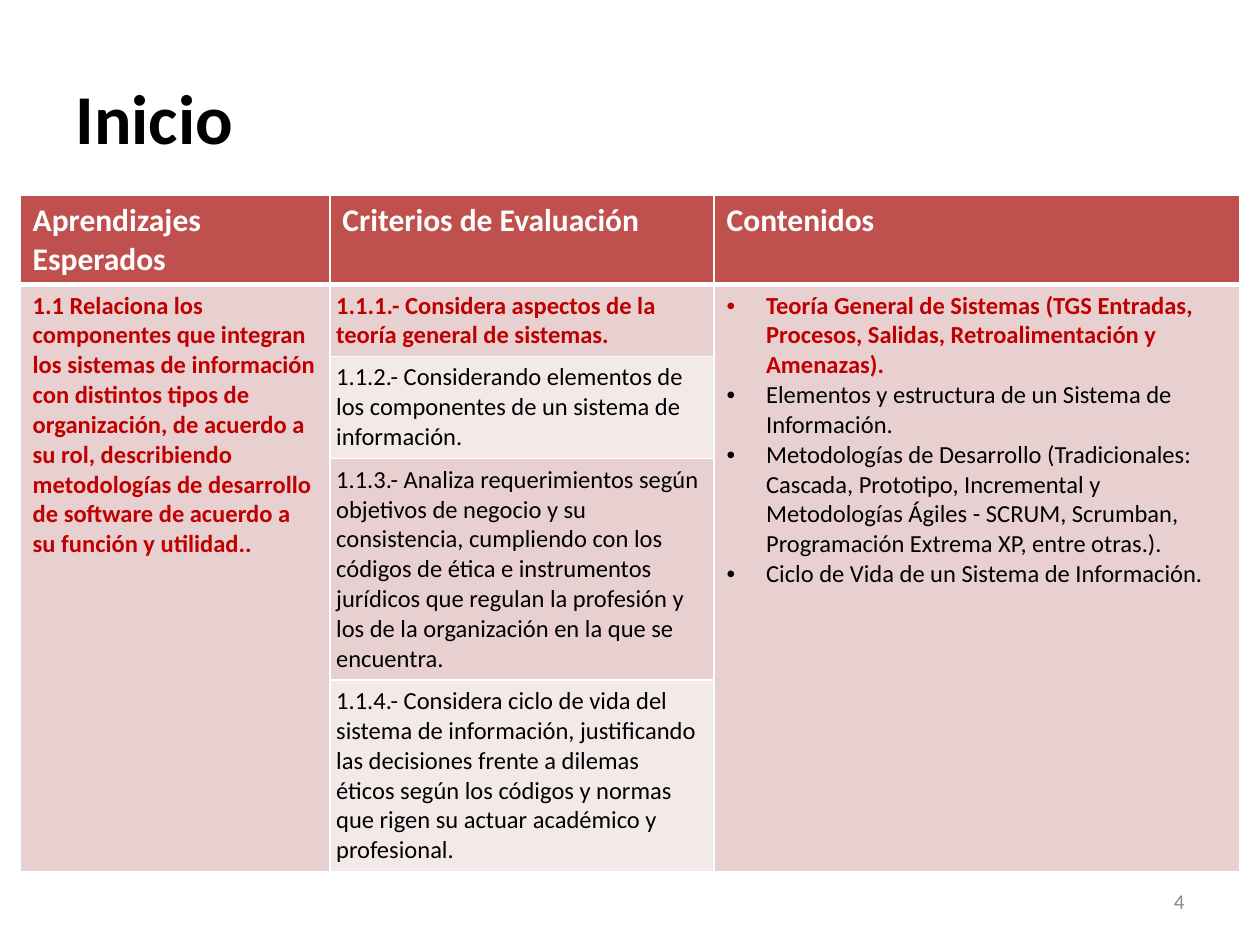
from lxml import etree
from pptx import Presentation
from pptx import util as u
from pptx.dml import color
from pptx.enum import text
from pptx.oxml import ns

Pt = u.Pt
FONT = "Calibri"
WHITE, BLACK, GREY = "FFFFFF", "000000", "8C8C8C"
HEADER_RED, TEXT_RED = "C0504D", "C00000"
BAND_DARK, BAND_LIGHT = "E8D0D0", "F4E9E9"

HEADINGS = ["Aprendizajes Esperados", "Criterios de Evaluación", "Contenidos"]
LEARNING = (
    "1.1 Relaciona los componentes que integran los sistemas de información con "
    "distintos tipos de organización, de acuerdo a su rol, describiendo metodologías "
    "de desarrollo de software de acuerdo a su función y utilidad.."
)
CRITERIA = [
    "1.1.1.- Considera aspectos de la teoría general de sistemas.",
    "1.1.2.- Considerando elementos de los componentes de un sistema de información.",
    "1.1.3.- Analiza requerimientos según objetivos de negocio y su consistencia, "
    "cumpliendo con los códigos de ética e instrumentos jurídicos que regulan la "
    "profesión y los de la organización en la que se encuentra.",
    "1.1.4.- Considera ciclo de vida del sistema de información, justificando las "
    "decisiones frente a dilemas éticos según los códigos y normas que rigen su "
    "actuar académico y profesional.",
]
CONTENTS = [
    "Teoría General de Sistemas (TGS Entradas, Procesos, Salidas, Retroalimentación y "
    "Amenazas).",
    "Elementos y estructura de un Sistema de Información.",
    "Metodologías de Desarrollo (Tradicionales: Cascada, Prototipo, Incremental y "
    "Metodologías Ágiles - SCRUM, Scrumban, Programación Extrema XP, entre otras.).",
    "Ciclo de Vida de un Sistema de Información.",
]
COLUMN_WIDTHS = [177, 219.6, 300.4]
ROW_HEIGHTS = [51, 41, 58.5, 126.5, 109.5]


def rgb(value):
    """Turn a hex string into a colour."""
    return color.RGBColor.from_string(value)


def add_run(paragraph, words, size, hue, bold=False):
    """Add one formatted run to a paragraph."""
    run = paragraph.add_run()
    run.text = words
    run.font.name = FONT
    run.font.size = Pt(size)
    run.font.bold = bold
    run.font.color.rgb = rgb(hue)


def add_bullet(paragraph, indent):
    """Give a paragraph a round bullet with a hanging indent."""
    props = paragraph._p.get_or_add_pPr()
    props.set("marL", str(Pt(indent)))
    props.set("indent", str(-Pt(indent)))
    etree.SubElement(props, ns.qn("a:buFont"), typeface="Arial")
    etree.SubElement(props, ns.qn("a:buChar"), char="•")


def style_cell(cell, fill, bottom=1):
    """Set the white borders and the fill of a cell."""
    props = cell._tc.get_or_add_tcPr()
    for side, width in (("L", 1), ("R", 1), ("T", 1), ("B", bottom)):
        line = etree.SubElement(props, ns.qn(f"a:ln{side}"), w=str(Pt(width)))
        solid = etree.SubElement(line, ns.qn("a:solidFill"))
        etree.SubElement(solid, ns.qn("a:srgbClr"), val=WHITE)
    cell.fill.solid()
    cell.fill.fore_color.rgb = rgb(fill)


def fill_cell(cell, entries, size, bulleted=False):
    """Write (words, colour, bold) entries as the paragraphs of a cell."""
    frame = cell.text_frame
    for index, (words, hue, bold) in enumerate(entries):
        paragraph = frame.add_paragraph() if index else frame.paragraphs[0]
        if bulleted:
            add_bullet(paragraph, 22.5)
        add_run(paragraph, words, size, hue, bold)


def highlight_first(items):
    """Mark the first item in bold red and the others in plain black."""
    return [(words, BLACK if i else TEXT_RED, i == 0) for i, words in enumerate(items)]


def place_title(slide, left, top, width, height):
    """Place the slide title in its box."""
    title = slide.shapes.title
    title.left, title.top = Pt(left), Pt(top)
    title.width, title.height = Pt(width), Pt(height)
    title.text_frame.vertical_anchor = text.MSO_ANCHOR.MIDDLE
    heading = title.text_frame.paragraphs[0]
    heading.alignment = text.PP_ALIGN.LEFT
    add_run(heading, "Inicio", 40, BLACK, True)


def place_plan(slide, left, top, width, height):
    """Place the table of learning goals, criteria and contents."""
    plan = slide.shapes.add_table(
        len(ROW_HEIGHTS), len(COLUMN_WIDTHS), Pt(left), Pt(top), Pt(width), Pt(height)
    ).table
    for column, share in zip(plan.columns, COLUMN_WIDTHS):
        column.width = Pt(width * share / sum(COLUMN_WIDTHS))
    for row, share in zip(plan.rows, ROW_HEIGHTS):
        row.height = Pt(height * share / sum(ROW_HEIGHTS))

    for c, heading in enumerate(HEADINGS):
        style_cell(plan.cell(0, c), HEADER_RED, 3)
        fill_cell(plan.cell(0, c), [(heading, WHITE, True)], 18)
    for r, entry in enumerate(highlight_first(CRITERIA), start=1):
        for c in range(len(HEADINGS)):
            style_cell(plan.cell(r, c), BAND_LIGHT if c == 1 and r % 2 == 0 else BAND_DARK)
        criterion = plan.cell(r, 1)
        criterion.margin_left = Pt(3.6)
        fill_cell(criterion, [entry], 14)

    for c in (0, 2):
        plan.cell(1, c).merge(plan.cell(len(CRITERIA), c))
    fill_cell(plan.cell(1, 0), highlight_first([LEARNING]), 14)
    fill_cell(plan.cell(1, 2), highlight_first(CONTENTS), 14, bulleted=True)


def place_page_number(slide, left, top, width, height):
    """Place the page number at the right of its box."""
    frame = slide.shapes.add_textbox(Pt(left), Pt(top), Pt(width), Pt(height)).text_frame
    frame.word_wrap = True
    frame.vertical_anchor = text.MSO_ANCHOR.MIDDLE
    number = frame.paragraphs[0]
    number.alignment = text.PP_ALIGN.RIGHT
    add_run(number, "4", 12, GREY)


def main():
    """Build the slide and save it."""
    deck = Presentation()
    deck.slide_width, deck.slide_height = Pt(720), Pt(540)
    slide = deck.slides.add_slide(deck.slide_layouts[5])
    place_title(slide, 36, 21.6, 420.5, 90)
    place_page_number(slide, 516, 500.5, 168, 28.75)
    place_plan(slide, 11.5, 111.6, sum(COLUMN_WIDTHS), sum(ROW_HEIGHTS))
    deck.save("out.pptx")


if __name__ == "__main__":
    main()
